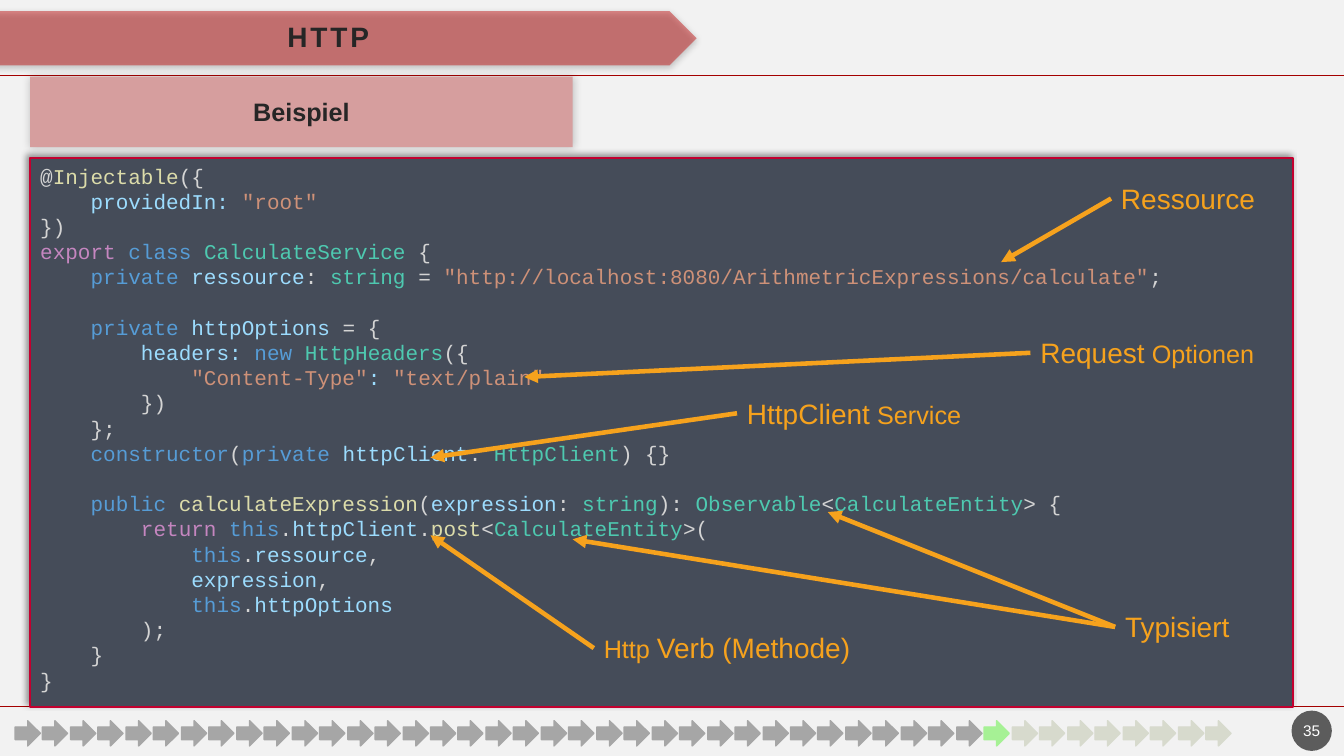
from dataclasses import dataclass
from typing import Any, Optional

import pptx
import pptx.dml.color
import pptx.enum.shapes
import pptx.enum.text
import pptx.oxml.ns
import pptx.oxml.xmlchemy
import pptx.util

PX = 9144
KIND = pptx.enum.shapes.MSO_SHAPE
ALIGN = pptx.enum.text.PP_ALIGN
ANCHOR = pptx.enum.text.MSO_ANCHOR
HUES = {
    "page": "F2F2F2", "rule": "A40000", "flag": "C00000", "ink": "262626",
    "disc": "1D1D1D", "white": "FFFFFF", "rose": "D69E9E", "slate": "454C59",
    "edge": "C3002F", "note": "F6A21D", "done": "A6A6A6", "now": "A6F195",
    "next": "D7DACD", "black": "000000", "plain": "D4D4D4", "call": "DCDCAA",
    "name": "9CDCFE", "text": "CE9178", "flow": "C586C0", "key": "569CD6",
    "type": "4EC9B0",
}


@dataclass
class Shade:
    alpha: int
    blur: float
    dist: float
    angle: int


@dataclass
class Box:
    kind: Any
    left: int
    top: int
    width: int
    height: int
    fill: str
    line: Optional[str] = None
    weight: float = 1
    alpha: int = 100
    shade: Optional[Shade] = None


@dataclass
class Line:
    level: int
    runs: list[tuple[str, str]]
    gap: int = 0


@dataclass
class Note:
    left: int
    top: int
    width: int
    runs: list[tuple[str, int]]
    ends: list[tuple[int, int]]


FLAG = Box(KIND.PENTAGON, -8, 11, 699, 54, "flag", alpha=43, shade=Shade(45, 4.4, 1.2, 90))
DISC = Box(KIND.OVAL, 1281, 705, 40, 40, "disc", alpha=70)
HEAD = Box(KIND.RECTANGLE, 30, 76, 538, 70, "rose", shade=Shade(20, 6, 0, 225))
PANEL = Box(KIND.RECTANGLE, 30, 157, 1252, 544, "slate", "edge", 1.5, shade=Shade(40, 4, 3, 225))

CODE = [
    Line(0, [("@", "plain"), ("Injectable", "call"), ("({", "plain")]),
    Line(1, [("providedIn: ", "name"), ('"root"', "text")]),
    Line(0, [("})", "plain")]),
    Line(0, [("export ", "flow"), ("class ", "key"), ("CalculateService", "type"), (" {", "plain")]),
    Line(1, [("private ", "key"), ("ressource", "name"), (": ", "plain"), ("string", "type"),
             (" = ", "plain"),
             ('"http://localhost:8080/ArithmetricExpressions/calculate"', "text"), (";", "plain")]),
    Line(1, [("private ", "key"), ("httpOptions", "name"), (" = {", "plain")], 18),
    Line(2, [("headers: ", "name"), ("new ", "key"), ("HttpHeaders", "type"), ("({", "plain")]),
    Line(3, [('"Content-Type"', "text"), (": ", "name"), ('"text/plain"', "text")]),
    Line(2, [("})", "plain")]),
    Line(1, [("};", "plain")]),
    Line(1, [("constructor", "key"), ("(", "plain"), ("private ", "key"), ("httpClient", "name"),
             (": ", "plain"), ("HttpClient", "type"), (") {}", "plain")]),
    Line(1, [("public ", "key"), ("calculateExpression", "call"), ("(", "plain"),
             ("expression", "name"), (": ", "plain"), ("string", "type"), ("): ", "plain"),
             ("Observable", "type"), ("<", "plain"), ("CalculateEntity", "type"),
             ("> {", "plain")], 18),
    Line(2, [("return ", "flow"), ("this", "key"), (".", "plain"), ("httpClient", "name"),
             (".", "plain"), ("post", "call"), ("<", "plain"), ("CalculateEntity", "type"),
             (">(", "plain")]),
    Line(3, [("this", "key"), (".", "plain"), ("ressource", "name"), (",", "plain")]),
    Line(3, [("expression", "name"), (",", "plain")]),
    Line(3, [("this", "key"), (".", "plain"), ("httpOptions", "name")]),
    Line(2, [(");", "plain")]),
    Line(1, [("}", "plain")]),
    Line(0, [("}", "plain")]),
]

NOTES = [
    Note(1102, 175, 154, [("Ressource", 20)], [(993, 260)]),
    Note(1022, 328, 234, [("Request", 20), (" Optionen", 18)], [(520, 374)]),
    Note(589, 621, 267, [("Http ", 18), ("Verb (Methode)", 20)], [(427, 531)]),
    Note(1106, 600, 125, [("Typisiert", 20)], [(568, 535), (821, 508)]),
    Note(731, 388, 235, [("HttpClient", 20), (" Service", 18)], [(427, 454)]),
]


def tint(hue: str) -> pptx.dml.color.RGBColor:
    return pptx.dml.color.RGBColor.from_string(HUES[hue])


def node(owner: Any, tag: str, **marks: Any) -> Any:
    item = pptx.oxml.xmlchemy.OxmlElement(tag)
    for key, mark in marks.items():
        item.set(key, str(mark))
    owner.append(item)
    return item


def draw_box(slide: Any, box: Box) -> Any:
    shape = slide.shapes.add_shape(
        box.kind, *(n * PX for n in (box.left, box.top, box.width, box.height)))
    shape.fill.solid()
    shape.fill.fore_color.rgb = tint(box.fill)
    props = shape.element.spPr
    if box.alpha < 100:
        paint = props.find(".//" + pptx.oxml.ns.qn("a:srgbClr"))
        node(paint, "a:alpha", val=box.alpha * 1000)
    if box.line:
        shape.line.color.rgb = tint(box.line)
        shape.line.width = pptx.util.Pt(box.weight)
    else:
        shape.line.fill.background()
    shape.shadow.inherit = False
    if box.shade:
        cast = node(props.find(pptx.oxml.ns.qn("a:effectLst")), "a:outerShdw",
                    blurRad=int(pptx.util.Pt(box.shade.blur)),
                    dist=int(pptx.util.Pt(box.shade.dist)),
                    dir=box.shade.angle * 60000, algn="ctr", rotWithShape=0)
        color = node(cast, "a:srgbClr", val=HUES["black"])
        node(color, "a:alpha", val=box.shade.alpha * 1000)
    return shape


def add_run(para: Any, text: str, size: int, hue: str, face: str = "Arial",
            bold: bool = False) -> None:
    run = para.add_run()
    run.text = text
    run.font.size = pptx.util.Pt(size)
    run.font.name = face
    run.font.bold = bold
    run.font.color.rgb = tint(hue)


def center(shape: Any, text: str, size: int, hue: str, bold: bool, side: int, top: int) -> Any:
    frame = shape.text_frame
    frame.word_wrap = True
    frame.vertical_anchor = ANCHOR.MIDDLE
    frame.margin_left = frame.margin_right = side * PX
    frame.margin_top = frame.margin_bottom = top * PX
    para = frame.paragraphs[0]
    para.alignment = ALIGN.CENTER
    add_run(para, text, size, hue, bold=bold)
    return para


def draw_line(slide: Any, start: tuple[int, int], end: tuple[int, int], hue: str,
              weight: float, arrow: bool = False) -> Any:
    link = slide.shapes.add_connector(
        pptx.enum.shapes.MSO_CONNECTOR.STRAIGHT, *(n * PX for n in start + end))
    link.line.color.rgb = tint(hue)
    link.line.width = pptx.util.Pt(weight)
    props = link.element.spPr
    if arrow:
        node(props.find(pptx.oxml.ns.qn("a:ln")), "a:tailEnd", type="triangle")
    node(props, "a:effectLst")
    return link


def draw_code(shape: Any, code: list[Line]) -> None:
    frame = shape.text_frame
    frame.word_wrap = True
    frame.vertical_anchor = ANCHOR.TOP
    for i, line in enumerate(code):
        para = frame.add_paragraph() if i else frame.paragraphs[0]
        para.alignment = ALIGN.LEFT
        para.line_spacing = pptx.util.Pt(18)
        para.space_before = pptx.util.Pt(line.gap)
        props = para._p.get_or_add_pPr()
        props.set("marL", str(line.level * 50 * PX))
        props.set("indent", "0")
        for text, hue in line.runs:
            add_run(para, text, 15, hue, "Courier New")


def draw_note(slide: Any, note: Note) -> None:
    label = slide.shapes.add_textbox(*(n * PX for n in (note.left, note.top, note.width, 44)))
    label.text_frame.word_wrap = False
    label.text_frame.auto_size = pptx.enum.text.MSO_AUTO_SIZE.SHAPE_TO_FIT_TEXT
    for text, size in note.runs:
        add_run(label.text_frame.paragraphs[0], text, size, "note")
    for end in note.ends:
        link = draw_line(slide, (note.left, note.top + 22), end, "note", 3.25, True)
        link.begin_connect(label, 1)


def main() -> None:
    deck = pptx.Presentation()
    deck.slide_width, deck.slide_height = 1333 * PX, 750 * PX
    slide = deck.slides.add_slide(deck.slide_layouts[6])
    slide.background.fill.solid()
    slide.background.fill.fore_color.rgb = tint("page")
    draw_line(slide, (0, 75), (1333, 75), "rule", 1)
    draw_line(slide, (0, 701), (1333, 701), "rule", 0.75)
    draw_box(slide, FLAG)
    title = slide.shapes.add_textbox(0, 11 * PX, 651 * PX, 54 * PX)
    para = center(title, "HTTP", 20, "ink", True, 20, 20)
    para.line_spacing = 0.9
    para.runs[0]._r.get_or_add_rPr().set("spc", "200")
    center(draw_box(slide, DISC), "35", 11, "white", False, 2, 5)
    para = center(draw_box(slide, HEAD), "Beispiel", 18, "ink", True, 10, 5)
    para.space_before = pptx.util.Pt(10)
    draw_code(draw_box(slide, PANEL), CODE)
    for note in NOTES:
        draw_note(slide, note)
    steps = ["done"] * 35 + ["now"] + ["next"] * 8
    for i, hue in enumerate(steps):
        left = round(15 + i * 1181 / (len(steps) - 1))
        draw_box(slide, Box(KIND.RIGHT_ARROW, left, 715, 25, 25, hue, hue))
    deck.save("out.pptx")


if __name__ == "__main__":
    main()
